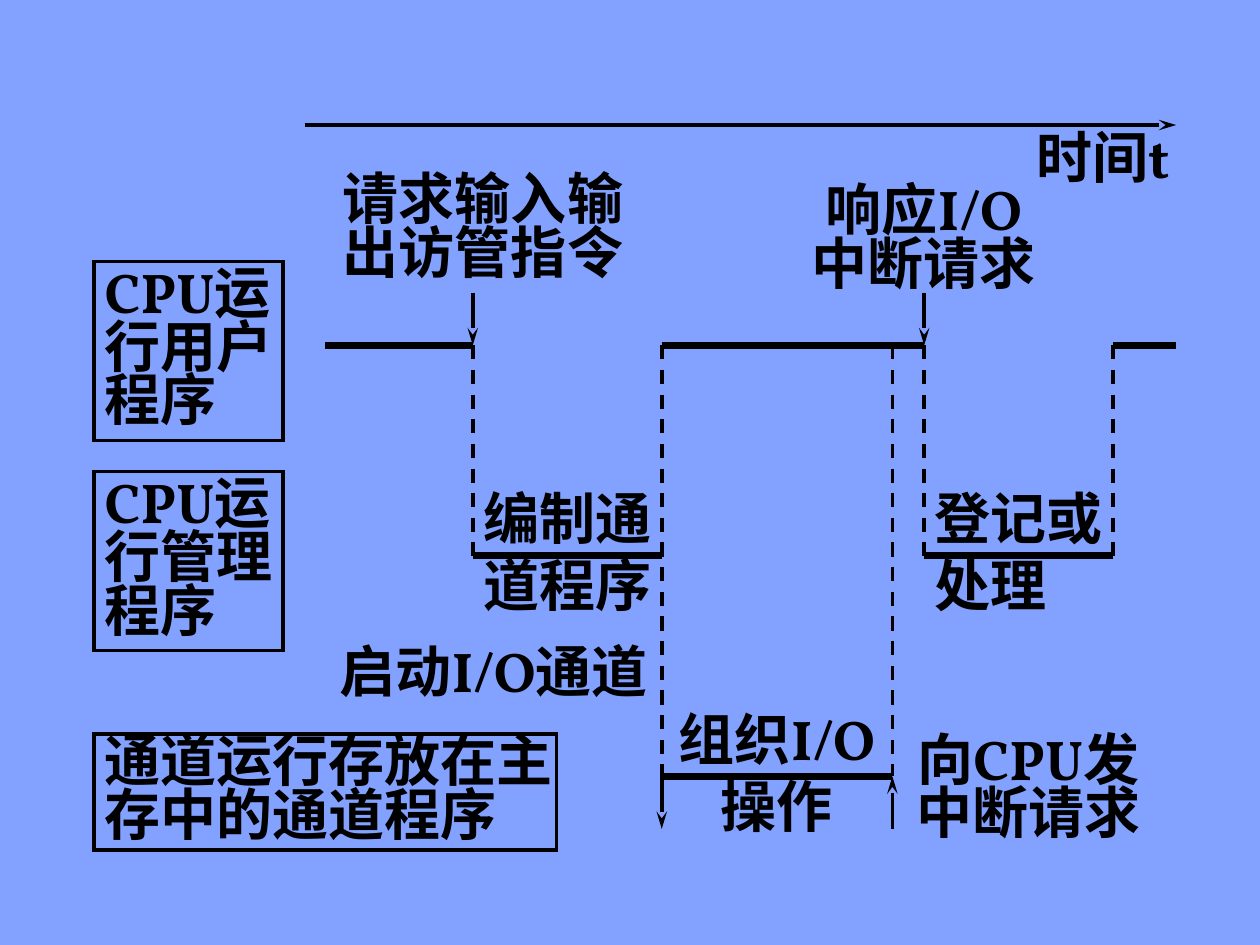
from dataclasses import dataclass

from lxml import etree
from pptx import Presentation
from pptx.dml.color import RGBColor
from pptx.enum.dml import MSO_LINE
from pptx.enum.shapes import MSO_CONNECTOR, MSO_SHAPE
from pptx.enum.text import MSO_ANCHOR, PP_ALIGN
from pptx.oxml.ns import qn
from pptx.util import Cm, Pt

STRAIGHT = MSO_CONNECTOR.STRAIGHT
RECTANGLE = MSO_SHAPE.RECTANGLE
DASH = MSO_LINE.DASH
MIDDLE = MSO_ANCHOR.MIDDLE
LEFT, CENTER = PP_ALIGN.LEFT, PP_ALIGN.CENTER


@dataclass(frozen=True)
class Theme:
    background: RGBColor = RGBColor(0x83, 0xA1, 0xFF)
    ink: RGBColor = RGBColor(0, 0, 0)
    font: str = "Vollkorn"
    text_size: int = 32
    thin: int = 2
    thick: int = 4


THEME = Theme()


def write_text(frame, text, align=LEFT, spacing=0.8):
    """Fill a text frame; each line of text ends in a soft line break."""
    frame.word_wrap = False
    frame.vertical_anchor = MIDDLE
    frame.margin_left = frame.margin_right = Cm(0.21)
    frame.margin_top = frame.margin_bottom = Cm(0.11)
    paragraph = frame.paragraphs[0]
    paragraph.alignment = align
    paragraph.line_spacing = spacing
    for index, line in enumerate(text.split("\n")):
        if index:
            paragraph.add_line_break()
        run = paragraph.add_run()
        run.text = line
        run.font.name = THEME.font
        run.font.size = Pt(THEME.text_size)
        run.font.bold = True
        run.font.color.rgb = THEME.ink


class Diagram:
    """Draws the parts of the timing diagram on one slide, in centimetres."""

    def __init__(self, slide, theme):
        self.slide = slide
        self.theme = theme
        slide.background.fill.solid()
        slide.background.fill.fore_color.rgb = theme.background

    def label(self, text, left, top, width, height, **text_format):
        """Text in a clear rectangle, whose lines may run past its margins."""
        shape = self.slide.shapes.add_shape(
            RECTANGLE, Cm(left), Cm(top), Cm(width), Cm(height))
        shape.shadow.inherit = False
        shape.fill.background()
        shape.line.fill.background()
        write_text(shape.text_frame, text, **{"align": CENTER, **text_format})
        return shape

    def box(self, text, left, top, width, height):
        shape = self.label(text, left, top, width, height, align=LEFT)
        shape.line.color.rgb = self.theme.ink
        shape.line.width = Pt(self.theme.thin)
        outline = shape._element.spPr.find(qn("a:ln"))
        etree.SubElement(outline, qn("a:miter")).set("lim", "800000")

    def line(self, start, end, width=None, dashed=False, arrow=False):
        connector = self.slide.shapes.add_connector(
            STRAIGHT, *(Cm(value) for value in (*start, *end)))
        connector.line.color.rgb = self.theme.ink
        connector.line.width = Pt(width or self.theme.thin)
        if dashed:
            connector.line.dash_style = DASH
        properties = connector._element.spPr
        if arrow:
            tail = etree.SubElement(properties.find(qn("a:ln")), qn("a:tailEnd"))
            tail.set("type", "stealth")
            tail.set("len", "lg")
        etree.SubElement(properties, qn("a:effectLst"))

    def period(self, left, right, level):
        self.line((left, level), (right, level), width=self.theme.thick)

    def switch(self, x, top, bottom):
        self.line((x, top), (x, bottom), dashed=True)

    def arrow(self, start, end):
        self.line(start, end, arrow=True)


def main():
    presentation = Presentation()
    presentation.slide_width, presentation.slide_height = Cm(25.4), Cm(19.05)
    slide = presentation.slides.add_slide(presentation.slide_layouts[6])
    diagram = Diagram(slide, THEME)

    # Moments on the time axis and the level of each activity
    begin, request, start_channel = 6.56, 9.53, 13.34
    channel_done, respond, resume, end = 17.99, 18.63, 22.44, 23.71
    user, manager, channel = 6.96, 11.2, 15.65
    arrow_length = 1.06

    # Time axis
    diagram.arrow((6.14, 2.52), (end, 2.52))
    diagram.label("时间t", 20.75, 2.74, 2.97, 1.07)

    # Row headings
    diagram.box("CPU运\n行用户\n程序", 1.9, 5.27, 3.81, 3.61)
    diagram.box("CPU运\n行管理\n程序", 1.9, 9.51, 3.81, 3.61)
    diagram.box("通道运行存放在主\n存中的通道程序", 1.9, 14.8, 9.32, 2.34)

    # Periods of activity
    for left, right, level in (
        (begin, request, user),
        (start_channel, respond, user),
        (resume, end, user),
        (request, start_channel, manager),
        (respond, resume, manager),
        (start_channel, channel_done, channel),
    ):
        diagram.period(left, right, level)

    # Switches between levels
    for x, bottom in ((request, manager), (start_channel, channel),
                      (channel_done, channel), (respond, manager),
                      (resume, manager)):
        diagram.switch(x, user, bottom)

    # Event arrows
    for x in (request, respond):
        diagram.arrow((x, user - arrow_length), (x, user))
    below = channel + arrow_length
    diagram.arrow((start_channel, channel), (start_channel, below))
    diagram.arrow((channel_done, below), (channel_done, channel))

    # Event labels
    diagram.label("请求输入输\n出访管指令", 6.78, 3.38, 5.92, 2.54)
    diagram.label("响应I/O\n中断请求", 16.3, 3.59, 4.65, 2.54)
    diagram.label("启动I/O通道", 6.78, 12.9, 6.35, 1.48)
    diagram.label("向CPU发\n中断请求", 18.41, 14.57, 4.65, 2.75)

    # Labels on the periods
    diagram.label("编制通\n道程序", 9.74, 9.73, 3.39, 2.75, spacing=1.0)
    diagram.label("组织I/O\n操作", 13.55, 14.18, 4.23, 2.75, spacing=1.0)
    diagram.label("登记或\n处理", 18.63, 9.73, 3.81, 2.75, align=LEFT, spacing=1.0)

    presentation.save("out.pptx")


if __name__ == "__main__":
    main()
